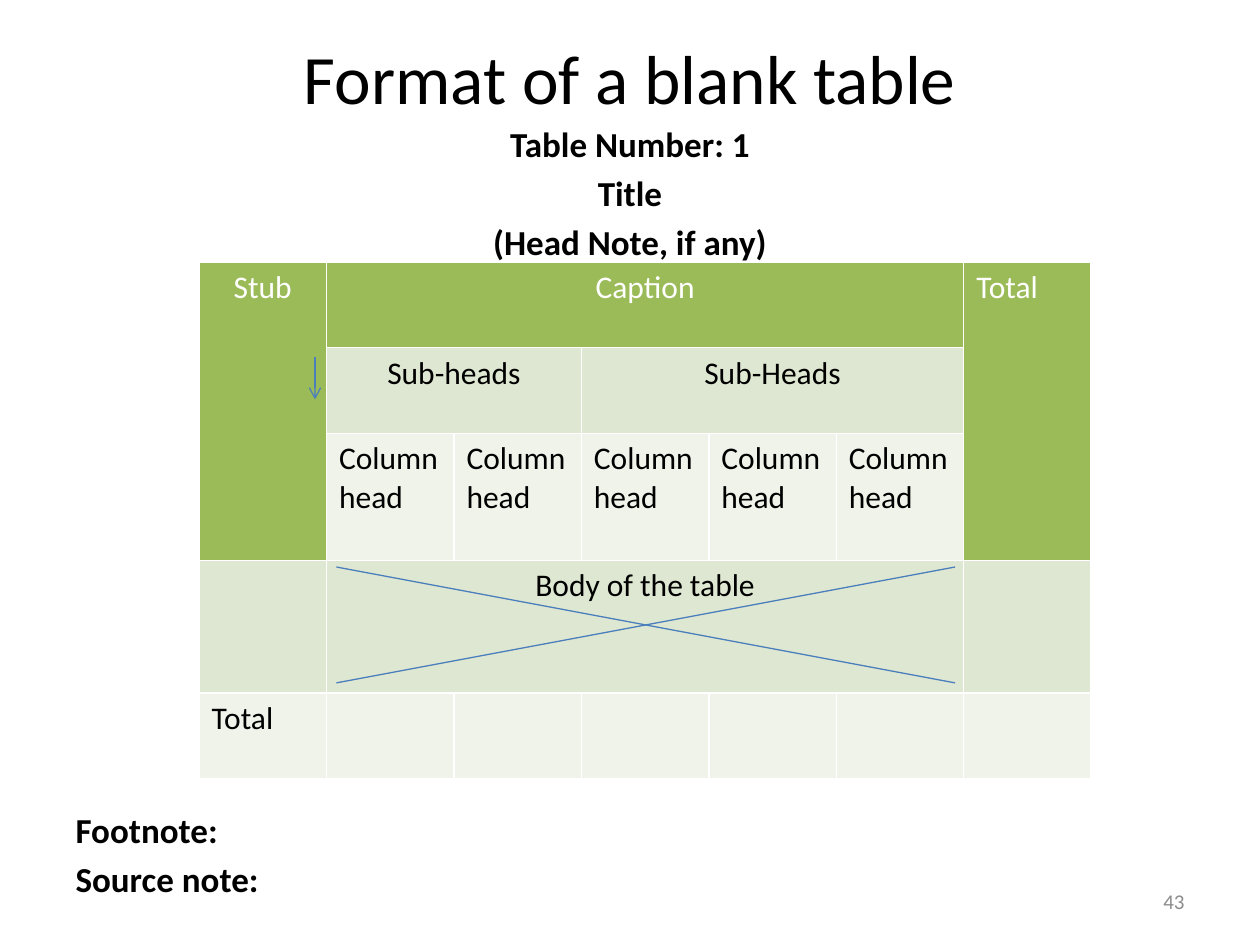
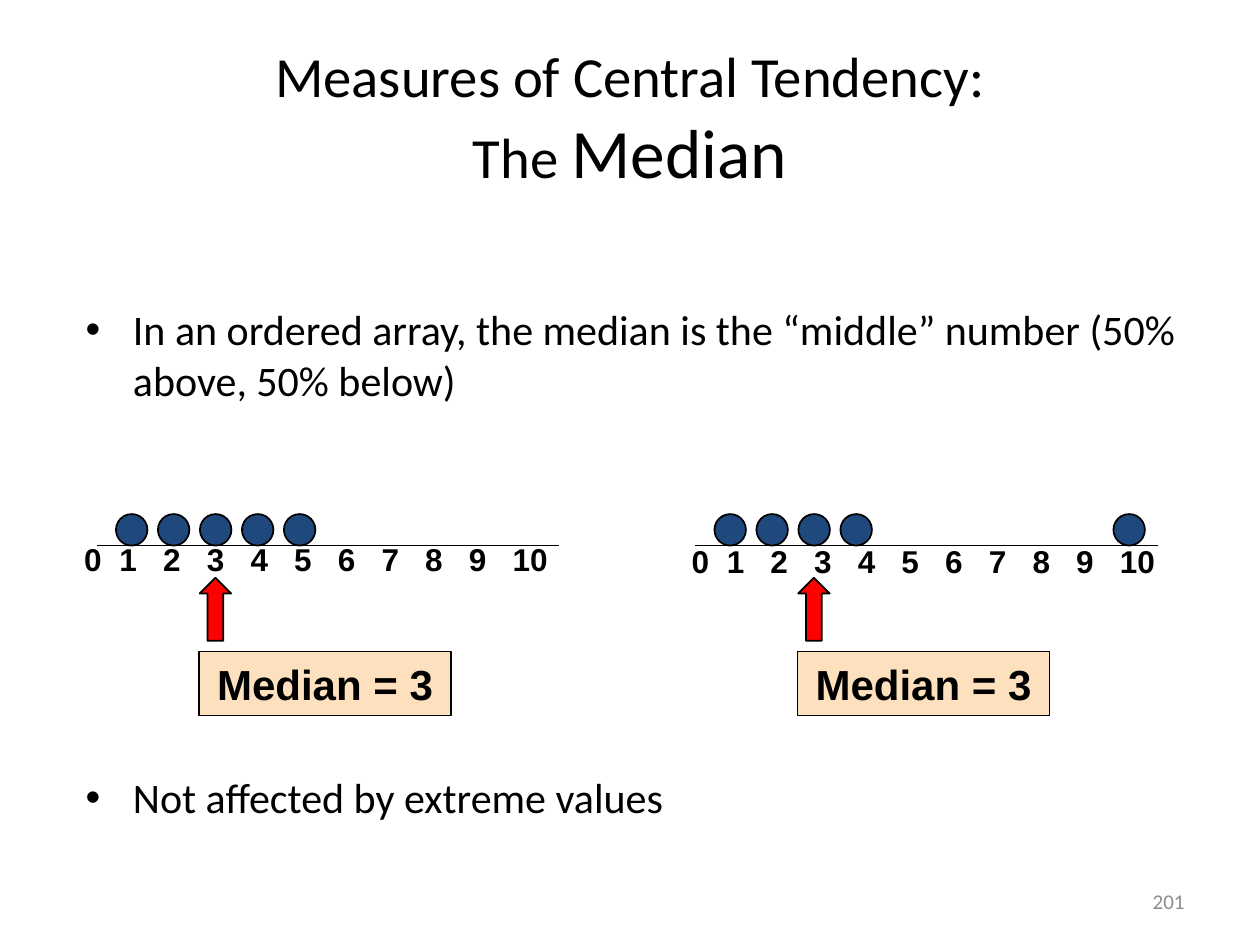
from dataclasses import dataclass

from lxml import etree
from pptx import Presentation
from pptx.dml.color import RGBColor
from pptx.enum.shapes import MSO_CONNECTOR, MSO_SHAPE
from pptx.enum.text import MSO_ANCHOR, MSO_AUTO_SIZE, PP_ALIGN
from pptx.oxml.ns import qn
from pptx.util import Inches, Pt

STRAIGHT = MSO_CONNECTOR.STRAIGHT
DOT, BOX, ARROW = MSO_SHAPE.OVAL, MSO_SHAPE.RECTANGLE, MSO_SHAPE.RIGHT_ARROW
MIDDLE = MSO_ANCHOR.MIDDLE
LEFT, CENTER, RIGHT = PP_ALIGN.LEFT, PP_ALIGN.CENTER, PP_ALIGN.RIGHT
NO_FIT = MSO_AUTO_SIZE.NONE


@dataclass(frozen=True)
class Theme:
    text: str = "000000"
    white: str = "FFFFFF"
    page: str = "8C8C8C"
    header: str = "9BBB59"
    band_dark: str = "DEE7D1"
    band_light: str = "EFF3EA"
    rule: str = "4B7EBC"
    dot: str = "1F497D"
    arrow: str = "FF0000"
    median: str = "FDE0BD"
    body_font: str = "Calibri"
    diagram_font: str = "Arial"
    title_size: float = 39.6
    title_small: float = 32.4
    bullet_size: float = 24
    note_size: float = 20
    label_size: float = 18
    page_size: float = 12


THEME = Theme()


def add_run(paragraph, text, size, color=THEME.text, font=THEME.body_font, bold=False):
    run = paragraph.add_run()
    run.text = text
    run.font.size = Pt(size)
    run.font.name = font
    run.font.bold = bold
    run.font.color.rgb = RGBColor.from_string(color)


def add_line(slide, start, end, color, width):
    line = slide.shapes.add_connector(STRAIGHT, *map(Inches, start + end))
    line.line.color.rgb = RGBColor.from_string(color)
    line.line.width = Pt(width)
    etree.SubElement(line._element.spPr, qn("a:effectLst"))
    return line


prs = Presentation()
prs.slide_width, prs.slide_height = Inches(10), Inches(7.5)

# Shared frame: title, body area and page number
frames = [
    ([[("Format of a blank table", THEME.title_size)]],
     0.62, (0.5, 0.92, 9, 6.25), "43"),
    ([[("Measures of Central Tendency:", THEME.title_small)],
      [("The ", THEME.title_small), ("Median", THEME.title_size)]],
     1.25, (0.58, 1.75, 9.17, 5.5), "201"),
]
for title_lines, title_height, body_area, page_number in frames:
    slide = prs.slides.add_slide(prs.slide_layouts[1])
    title, body = slide.placeholders
    title.left, title.top, title.width, title.height = map(Inches, (0.5, 0.3, 9, title_height))
    body.left, body.top, body.width, body.height = map(Inches, body_area)
    title.text_frame.auto_size = body.text_frame.auto_size = NO_FIT
    heading = title.text_frame.paragraphs[0]
    for index, line_runs in enumerate(title_lines):
        if index:
            heading.add_line_break()
        for text, size in line_runs:
            add_run(heading, text, size)

    footer = slide.shapes.add_textbox(*map(Inches, (7.17, 6.95, 2.33, 0.4))).text_frame
    footer.word_wrap = True
    footer.vertical_anchor = MIDDLE
    footer.paragraphs[0].alignment = RIGHT
    add_run(footer.paragraphs[0], page_number, THEME.page_size, THEME.page)

table_slide, median_slide = prs.slides

# Slide 1: notes above and below the table
notes = [
    ("Table Number: 1", CENTER, 0),
    ("Title", CENTER, 4),
    ("(Head Note, if any)", CENTER, 4),
    ("Footnote:", LEFT, 312),
    ("Source note:", LEFT, 4),
]
notes_frame = table_slide.placeholders[1].text_frame
for index, (text, alignment, space) in enumerate(notes):
    note = notes_frame.add_paragraph() if index else notes_frame.paragraphs[0]
    properties = note._p.get_or_add_pPr()
    properties.set("marL", "0")
    properties.set("indent", "0")
    etree.SubElement(properties, qn("a:buNone"))
    note.alignment = alignment
    note.space_before = Pt(space)
    add_run(note, text, THEME.note_size, bold=True)

# Slide 1: blank table
row_heights = [0.68, 0.68, 1.01, 1.05, 0.68]
column_count = 7
table = table_slide.shapes.add_table(
    len(row_heights), column_count, *map(Inches, (1.58, 2.08, 7.08, 4.1))).table
table.first_row = table.horz_banding = False
for row, height in zip(table.rows, row_heights):
    row.height = Inches(height)
for column in table.columns:
    column.width = Inches(7.08) // column_count

row_fills = [THEME.header, THEME.band_dark, THEME.band_light, THEME.band_dark, THEME.band_light]
for row_index, row_fill in enumerate(row_fills):
    for column_index in range(column_count):
        cell = table.cell(row_index, column_index)
        in_side_header = row_index < 3 and column_index in (0, column_count - 1)
        for side in ("lnL", "lnR", "lnT", "lnB"):
            border = etree.SubElement(cell._tc.get_or_add_tcPr(), qn("a:" + side), w=str(Pt(1)))
            border_fill = etree.SubElement(border, qn("a:solidFill"))
            etree.SubElement(border_fill, qn("a:srgbClr"), val=THEME.white)
        cell.fill.solid()
        cell.fill.fore_color.rgb = RGBColor.from_string(
            THEME.header if in_side_header else row_fill)

# row, column, row span, column span, text, alignment, colour
entries = [
    (0, 0, 3, 1, "Stub", CENTER, THEME.white),
    (0, 1, 1, 5, "Caption", CENTER, THEME.white),
    (0, 6, 3, 1, "Total", LEFT, THEME.white),
    (1, 1, 1, 2, "Sub-heads", CENTER, THEME.text),
    (1, 3, 1, 3, "Sub-Heads", CENTER, THEME.text),
    (3, 1, 1, 5, "Body of the table", CENTER, THEME.text),
    (4, 0, 1, 1, "Total", LEFT, THEME.text),
] + [(2, column, 1, 1, "Column head", LEFT, THEME.text) for column in range(1, 6)]
for row, column, row_span, column_span, text, alignment, color in entries:
    cell = table.cell(row, column)
    if row_span * column_span > 1:
        cell.merge(table.cell(row + row_span - 1, column + column_span - 1))
    entry = cell.text_frame.paragraphs[0]
    entry.alignment = alignment
    add_run(entry, text, THEME.label_size, color)

# Slide 1: stub arrow and crossed-out body
stub_arrow = add_line(table_slide, (2.5, 2.83), (2.5, 3.17), THEME.rule, 0.75)
etree.SubElement(stub_arrow.line._get_or_add_ln(), qn("a:tailEnd"), type="arrow")
add_line(table_slide, (2.67, 5.42), (7.58, 4.5), THEME.rule, 0.75)
add_line(table_slide, (2.67, 4.5), (7.58, 5.42), THEME.rule, 0.75)

# Slide 2: bullets above and below the diagrams
bullets = [
    ("In an ordered array, the median is the “middle” number (50% above, 50% below)", 0),
    ("Not affected by extreme values", 210),
]
bullet_frame = median_slide.placeholders[1].text_frame
bullet_frame.margin_top = Inches(0.66)
for index, (text, space) in enumerate(bullets):
    bullet = bullet_frame.add_paragraph() if index else bullet_frame.paragraphs[0]
    bullet.space_before = Pt(space)
    add_run(bullet, text, THEME.bullet_size)

# Slide 2: two number lines; dots are placed by steps from the first one
number_lines = [
    (0, 0.57, 4.24, [0, 1, 2, 3, 4]),
    (4.75, 5.39, 4.25, [0, 1, 2, 3, 9.5]),
]
for offset, scale_left, scale_top, dot_steps in number_lines:
    add_line(median_slide, (0.77 + offset, 4.33), (4.44 + offset, 4.33), THEME.text, 1)

    scale_frame = median_slide.shapes.add_textbox(
        *map(Inches, (scale_left, scale_top, 4.36, 0.4))).text_frame
    scale_frame.word_wrap = True
    scale = scale_frame.paragraphs[0]
    tab_list = etree.SubElement(scale._p.get_or_add_pPr(), qn("a:tabLst"))
    for step in range(10):
        etree.SubElement(tab_list, qn("a:tab"), pos=str(Inches(0.28 + step * 3.12 / 9)), algn="l")
    add_run(scale, "\t".join(map(str, range(11))), THEME.label_size,
            font=THEME.diagram_font, bold=True)

    pieces = [(DOT, 0.92 + step / 3, 4.08, 0.25, 0.25, THEME.dot) for step in dot_steps]
    pieces += [(ARROW, 1.46, 4.71, 0.5, 0.25, THEME.arrow),
               (BOX, 1.58, 5.17, 2, 0.51, THEME.median)]
    for kind, left, top, width, height, fill in pieces:
        piece = median_slide.shapes.add_shape(
            kind, *map(Inches, (left + offset, top, width, height)))
        piece.shadow.inherit = False
        piece.fill.solid()
        piece.fill.fore_color.rgb = RGBColor.from_string(fill)
        piece.line.color.rgb = RGBColor.from_string(THEME.text)
        piece.line.width = Pt(1)
        if kind == ARROW:
            piece.rotation = 270
        elif kind == BOX:
            piece.text_frame.word_wrap = True
            median = piece.text_frame.paragraphs[0]
            median.alignment = CENTER
            add_run(median, "Median = 3", THEME.bullet_size,
                    font=THEME.diagram_font, bold=True)

prs.save("out.pptx")
